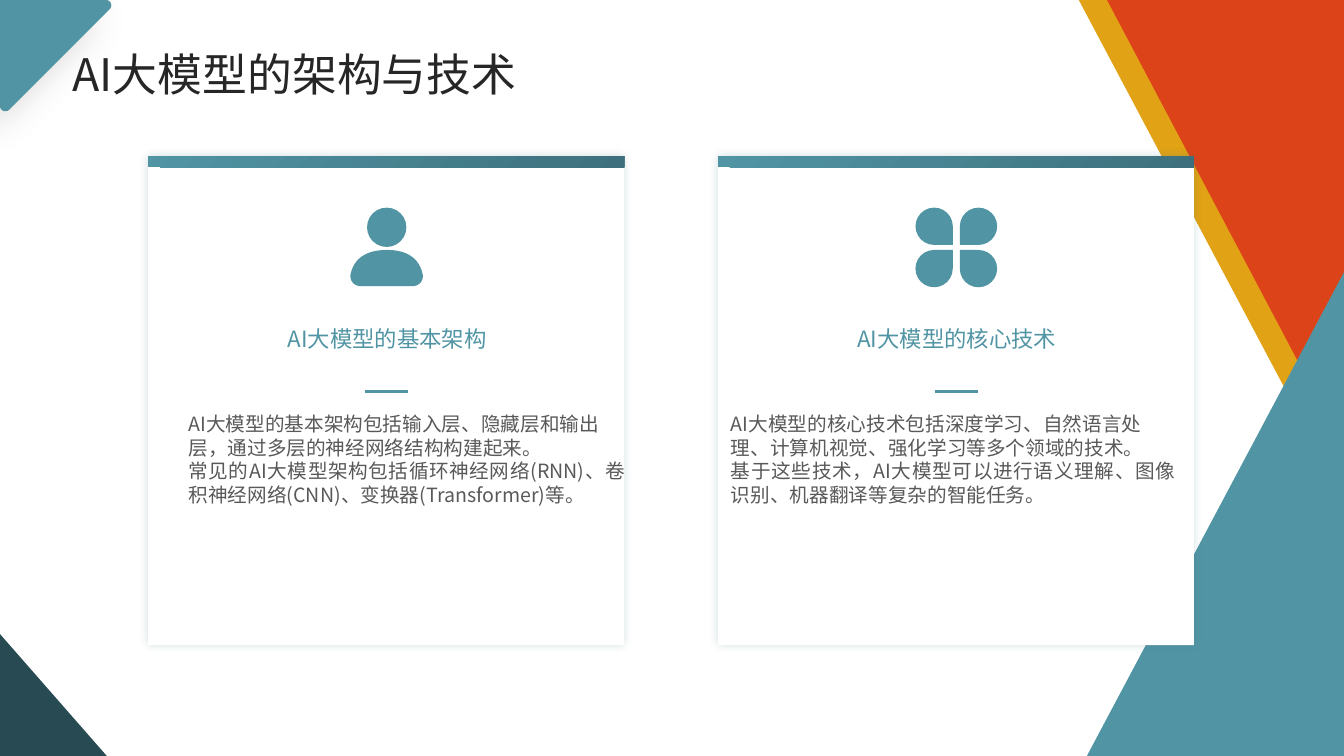
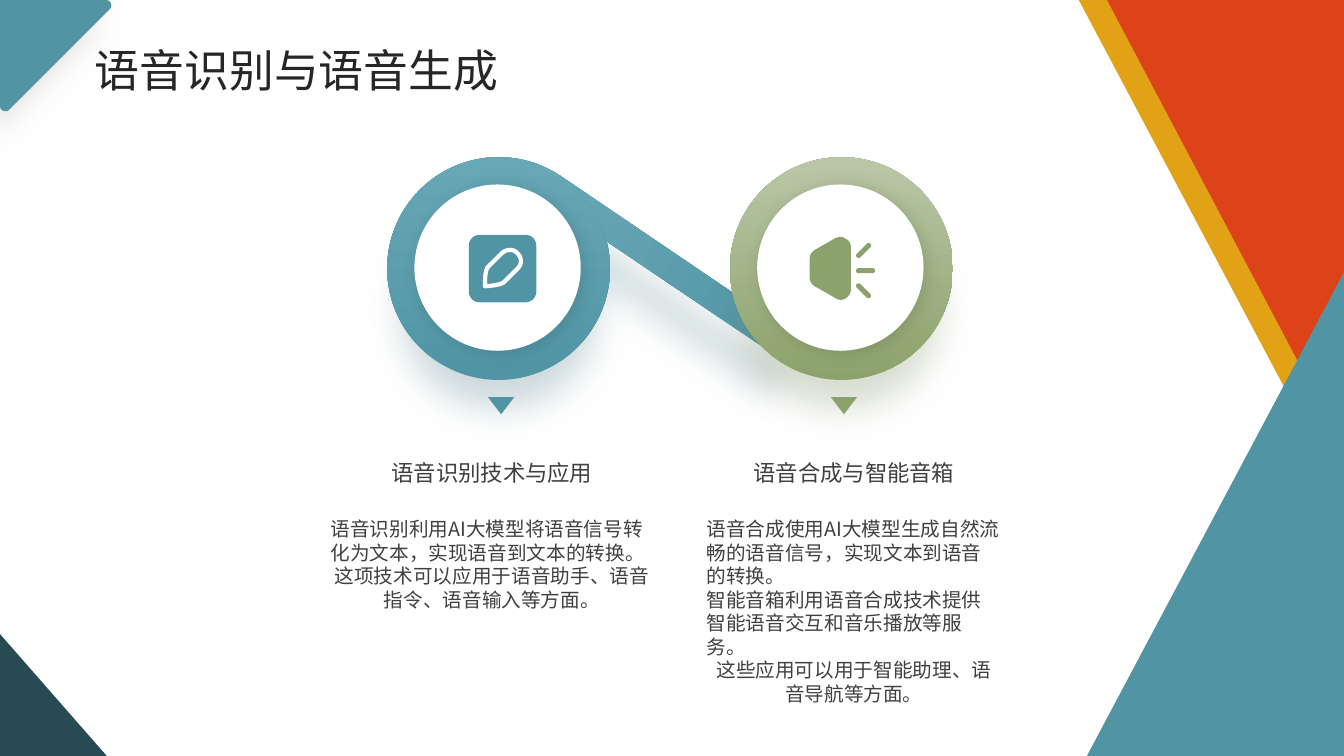
from dataclasses import dataclass
from lxml.etree import SubElement
from pptx import Presentation as Deck
from pptx.dml.color import RGBColor as Color
from pptx.enum.shapes import MSO_CONNECTOR as Link, MSO_SHAPE as Kind
from pptx.enum.text import MSO_ANCHOR as Anchor, PP_ALIGN as Align
from pptx.oxml.ns import qn
from pptx.util import Inches, Pt


@dataclass(frozen=True)
class Theme:
    """Hold the colours, font and type sizes."""
    font: str = "Noto Sans CJK SC"
    teal: str = "5195A5"
    sky: str = "68A7B5"
    deep: str = "3D707C"
    night: str = "284A52"
    gold: str = "E1A215"
    red: str = "DD4319"
    green: str = "8CA26C"
    sage: str = "BAC7A7"
    moss: str = "697C4E"
    white: str = "FFFFFF"
    ink: str = "262626"
    dark: str = "404040"
    grey: str = "595959"
    shade: str = "808080"
    title: int = 32
    head: int = 16
    body: int = 14


class Maker:
    """Draw styled elements on the current slide."""

    def __init__(self, deck, theme):
        self.deck, self.theme = deck, theme
        self.slide = None

    def paint(self, shape, fill, glow=None):
        shape.shadow.inherit = False
        shape.line.fill.background()
        if fill is None:
            shape.fill.background()
        elif isinstance(fill, str):
            shape.fill.solid()
            shape.fill.fore_color.rgb = Color.from_string(fill)
        else:
            *tones, angle = fill
            shape.fill.gradient()
            shape.fill.gradient_angle = angle
            for stop, tone, place in zip(shape.fill.gradient_stops, tones, (0, 1)):
                stop.color.rgb = Color.from_string(tone)
                stop.position = place
        if glow:
            tone, alpha, blur, dist, angle, size = glow
            effects = shape.element.spPr.find(qn("a:effectLst"))
            outer = SubElement(effects, qn("a:outerShdw"), blurRad=str(Pt(blur)),
                               dist=str(Pt(dist)), dir=str(angle * 60000),
                               sx=str(size * 1000), sy=str(size * 1000),
                               algn="ctr", rotWithShape="0")
            color = SubElement(outer, qn("a:srgbClr"), val=tone)
            SubElement(color, qn("a:alpha"), val=str(alpha * 1000))
        return shape

    def add(self, kind, box, fill, glow=None, spin=0, bend=None):
        shape = self.slide.shapes.add_shape(kind, *map(Inches, box))
        shape.rotation = spin
        if bend is not None:
            shape.adjustments[0] = bend
        return self.paint(shape, fill, glow)

    def curve(self, steps, fill, glow=None):
        points = [steps[0]]
        for step in steps[1:]:
            if len(step) == 2:
                points.append(step)
                continue
            a, b, c, d = points[-1], step[:2], step[2:4], step[4:]
            for i in range(1, 13):
                t = i / 12
                u = 1 - t
                points.append(tuple(
                    u ** 3 * p + 3 * u * u * t * q + 3 * u * t * t * r + t ** 3 * s
                    for p, q, r, s in zip(a, b, c, d)))
        spots = [(Inches(x), Inches(y)) for x, y in points]
        form = self.slide.shapes.build_freeform(*spots[0], scale=1.0)
        form.add_line_segments(spots[1:], close=True)
        return self.paint(form.convert_to_shape(), fill, glow)

    def text(self, box, lines, size, tone, align=Align.LEFT, middle=True, pad=True):
        frame = self.slide.shapes.add_textbox(*map(Inches, box)).text_frame
        frame.word_wrap = True
        frame.vertical_anchor = Anchor.MIDDLE if middle else Anchor.TOP
        if not pad:
            frame.margin_left = frame.margin_right = 0
            frame.margin_top = frame.margin_bottom = 0
        frame.text = "\n".join(lines)
        for para in frame.paragraphs:
            para.alignment = Align.LEFT
            for run in para.runs:
                run.font.size = Pt(size)
                run.font.name = self.theme.font
                run.font.color.rgb = Color.from_string(tone)
                SubElement(run.font._element, qn("a:ea"), typeface=self.theme.font)
        *early, last = frame.paragraphs
        last.alignment = align
        for para in early:
            para._p.get_or_add_pPr().set("hangingPunct", "0")

    def rule(self, x, y, width):
        line = self.slide.shapes.add_connector(
            Link.STRAIGHT, Inches(x), Inches(y), Inches(x + width), Inches(y))
        line.line.color.rgb = Color.from_string(self.theme.teal)
        line.line.width = Pt(2.25)
        SubElement(line.element.spPr, qn("a:effectLst"))

    def start(self, title, x, y):
        look = self.theme
        self.slide = self.deck.slides.add_slide(self.deck.slide_layouts[6])
        for steps, fill in (
                ([(13.06, 4.45), (13.06, 0), (10.7, 0)], look.gold),
                ([(13.33, 4.45), (13.33, 0), (10.98, 0)], look.red),
                ([(13.33, 2.7), (13.33, 7.5), (10.78, 7.5)], look.teal),
                ([(0, 6.29), (0, 7.5), (1.06, 7.5)], look.night)):
            self.curve(steps, fill)
        self.curve([(0, 0), (1.05, 0), (1.1, 0, 1.12, 0.06, 1.09, 0.09),
                    (0.09, 1.09), (0.06, 1.12, 0, 1.1, 0, 1.05)],
                   look.teal, (look.shade, 30, 25, 15, 135, 100))
        self.text((x, y, 11.56, 0.47), [title], look.title, look.ink, pad=False)

    def card(self, x, head, lines, left, width):
        look = self.theme
        self.add(Kind.RECTANGLE, (x, 1.55, 4.72, 4.85), look.white,
                 (look.deep, 24, 7, 0, 0, 100))
        self.add(Kind.RECTANGLE, (x, 1.55, 4.72, 0.11), (look.teal, look.deep, 315))
        self.text((x + 0.4, 2.96, 3.94, 0.79), [head], look.head, look.teal,
                  Align.CENTER, pad=False)
        self.text((left, 4.09, width, 1.89), lines, look.body, look.grey,
                  Align.JUSTIFY, middle=False, pad=False)
        self.rule(x + 2.15, 3.88, 0.43)

    def person(self):
        tone = self.theme.teal
        self.add(Kind.OVAL, (3.64, 2.06, 0.39, 0.39), tone)
        self.curve([(3.84, 2.48), (4.07, 2.48, 4.16, 2.59, 4.19, 2.71),
                    (4.21, 2.78, 4.16, 2.84, 4.09, 2.84), (3.58, 2.84),
                    (3.51, 2.84, 3.46, 2.78, 3.48, 2.71),
                    (3.51, 2.59, 3.6, 2.48, 3.84, 2.48)], tone)

    def petals(self):
        for i, spin in enumerate((90, 180, 0, 270)):
            row, col = divmod(i, 2)
            self.add(Kind.TEAR, (9.08 + col * 0.44, 2.06 + row * 0.42, 0.37, 0.37),
                     self.theme.teal, spin=spin)

    def ring(self, x, tone, light, shade):
        self.add(Kind.OVAL, (x, 1.56, 2.21, 2.21), (tone, light, 90),
                 (shade, 25, 26, 30, 90, 88))
        self.add(Kind.OVAL, (x + 0.27, 1.83, 1.65, 1.65), self.theme.white,
                 (shade, 40, 11, 3, 45, 100))
        self.add(Kind.ISOSCELES_TRIANGLE, (x + 1, 3.94, 0.26, 0.17), tone, spin=180)

    def pen(self):
        look = self.theme
        self.add(Kind.ROUNDED_RECTANGLE, (4.65, 2.33, 0.67, 0.67), look.teal, bend=0.16)
        nib = self.curve([(5.06, 2.48), (5.09, 2.48, 5.11, 2.49, 5.13, 2.51),
                          (5.18, 2.56, 5.18, 2.62, 5.13, 2.67), (5, 2.8),
                          (4.96, 2.83, 4.84, 2.84, 4.81, 2.84),
                          (4.81, 2.8, 4.81, 2.68, 4.84, 2.65), (4.97, 2.52),
                          (5, 2.49, 5.03, 2.48, 5.06, 2.48)], None)
        nib.line.color.rgb = Color.from_string(look.white)
        nib.line.width = Pt(3)

    def horn(self):
        tone = self.theme.green
        self.curve([(8.34, 2.35), (8.36, 2.35, 8.37, 2.36, 8.39, 2.37),
                    (8.42, 2.38, 8.44, 2.42, 8.44, 2.45), (8.44, 2.87),
                    (8.44, 2.9, 8.42, 2.94, 8.39, 2.96),
                    (8.36, 2.98, 8.32, 2.98, 8.29, 2.96), (8.08, 2.84),
                    (8.05, 2.82, 8.03, 2.79, 8.03, 2.75), (8.03, 2.57),
                    (8.03, 2.53, 8.05, 2.5, 8.08, 2.48), (8.29, 2.36),
                    (8.3, 2.36, 8.32, 2.35, 8.34, 2.35)], tone)
        for x, y, spin in ((8.47, 2.46, 315), (8.49, 2.66, 0), (8.47, 2.86, 45)):
            self.add(Kind.ROUNDED_RECTANGLE, (x, y, 0.19, 0.05), tone,
                     spin=spin, bend=0.5)

    def topic(self, x, width, head, lines):
        look = self.theme
        self.text((x, 4.42, width, 0.53), [head], look.head, look.dark, Align.CENTER)
        self.text((x, 5.08, width, 1.8), lines, look.body, look.dark,
                  Align.CENTER, middle=False)


def main():
    deck = Deck()
    deck.slide_width, deck.slide_height = Inches(13.33), Inches(7.5)
    look = Theme()
    make = Maker(deck, look)

    make.start("AI大模型的架构与技术", 0.72, 0.5)
    make.card(1.47, "AI大模型的基本架构", [
        "AI大模型的基本架构包括输入层、隐藏层和输出层，通过多层的神经网络结构构建起来。",
        "常见的AI大模型架构包括循环神经网络(RNN)、卷积神经网络(CNN)、变换器(Transformer)等。",
    ], 1.87, 4.33)
    make.person()
    make.card(7.12, "AI大模型的核心技术", [
        "AI大模型的核心技术包括深度学习、自然语言处理、计算机视觉、强化学习等多个领域的技术。",
        "基于这些技术，AI大模型可以进行语义理解、图像识别、机器翻译等复杂的智能任务。",
    ], 7.25, 4.41)
    make.petals()

    make.start("语音识别与语音生成", 0.94, 0.46)
    make.add(Kind.RECTANGLE, (6.49, 1.33, 0.28, 2.62), (look.teal, look.sky, 90),
             (look.deep, 25, 26, 30, 90, 100), spin=304.1)
    make.ring(3.84, look.teal, look.sky, look.deep)
    make.pen()
    make.ring(7.24, look.green, look.sage, look.moss)
    make.horn()
    make.topic(3.18, 3.4, "语音识别技术与应用", [
        "语音识别利用AI大模型将语音信号转化为文本，实现语音到文本的转换。",
        "这项技术可以应用于语音助手、语音指令、语音输入等方面。",
    ])
    make.topic(6.91, 3.12, "语音合成与智能音箱", [
        "语音合成使用AI大模型生成自然流畅的语音信号，实现文本到语音的转换。",
        "智能音箱利用语音合成技术提供智能语音交互和音乐播放等服务。",
        "这些应用可以用于智能助理、语音导航等方面。",
    ])
    deck.save("out.pptx")


if __name__ == "__main__":
    main()
